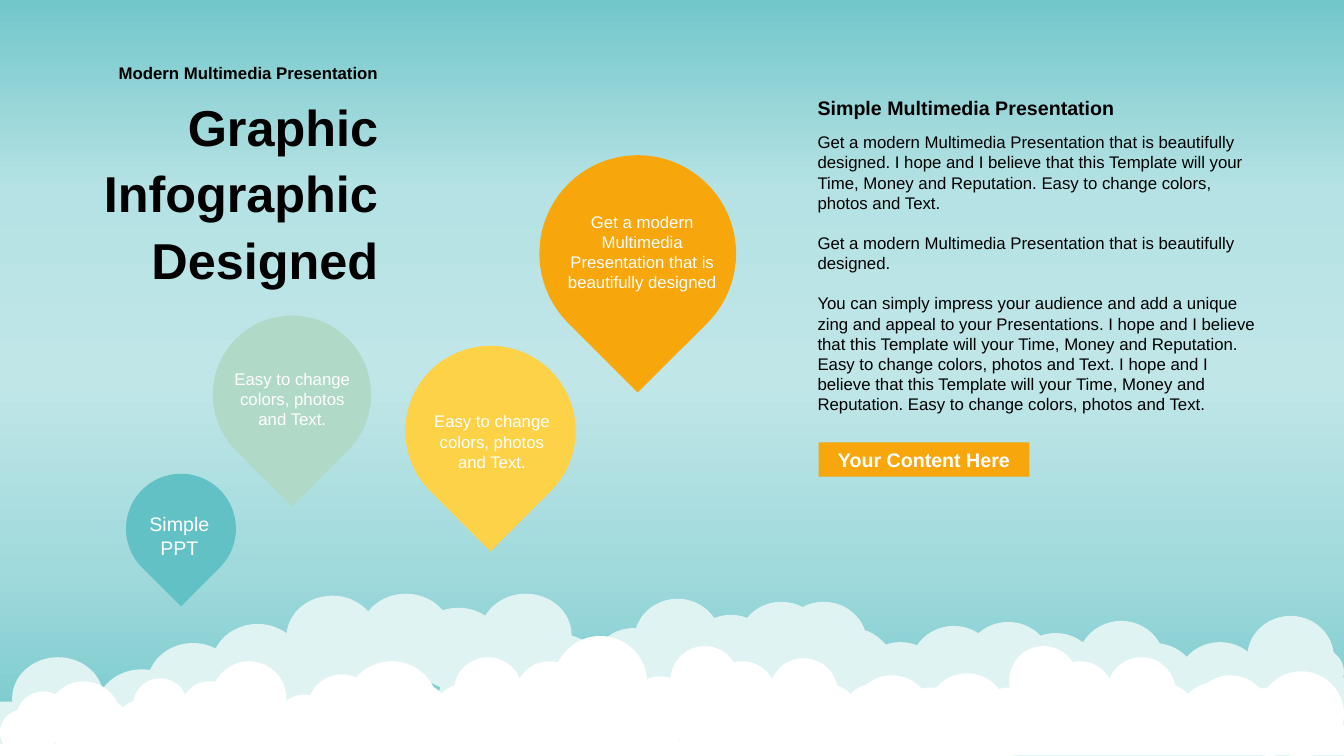
from dataclasses import dataclass

from lxml.etree import SubElement
from pptx import Presentation
from pptx.dml.color import RGBColor
from pptx.enum.shapes import MSO_SHAPE
from pptx.enum.text import MSO_ANCHOR, PP_ALIGN
from pptx.oxml.ns import qn
from pptx.util import Inches, Pt

COLORS = {
    "sky edge": "72C7CB", "sky high": "B5E2E4", "sky middle": "C0E6E8", "sky low": "A1DADC",
    "far cloud": "E0F3F3", "white": "FFFFFF", "black": "000000",
    "teal": "62C1C5", "sage": "B1D9C7", "yellow": "FDD247", "orange": "F7A60B",
}
SKY_STOPS = ("sky edge", "sky high", "sky middle", "sky low", "sky edge")
SLIDE_WIDTH, SLIDE_HEIGHT = Inches(13.33), Inches(7.5)
COLUMN, ROW = SLIDE_WIDTH / 13.33, SLIDE_HEIGHT / 7.5
FONT = "Arial"


@dataclass(frozen=True)
class Frame:
    """A box in grid columns and rows."""
    left: float
    top: float
    width: float
    height: float

    def lengths(self) -> tuple[int, ...]:
        return (round(self.left * COLUMN), round(self.top * ROW),
                round(self.width * COLUMN), round(self.height * ROW))


@dataclass(frozen=True)
class Puffs:
    """Equal cloud shapes at several (left, top) corners."""
    width: float
    height: float
    corners: tuple[tuple[float, float], ...]
    kind: MSO_SHAPE = MSO_SHAPE.OVAL


@dataclass(frozen=True)
class CloudBank:
    color: str
    bases: tuple[Frame, ...]
    puffs: tuple[Puffs, ...]


@dataclass(frozen=True)
class Pin:
    color: str
    left: float
    top: float
    size: float
    label: str
    label_frame: Frame
    label_size: int = 12
    anchor: MSO_ANCHOR = MSO_ANCHOR.TOP


CLOUD_BANKS = (
    CloudBank(
        "far cloud",
        (Frame(0, 6.96, 5.51, 0.54), Frame(5.51, 6.72, 3.36, 0.78), Frame(8.78, 6.72, 4.55, 0.78)),
        (
            Puffs(0.86, 0.82, (
                (5.86, 6.23), (6.21, 6.38), (6.29, 5.94), (6.82, 6.1), (7.32, 5.97), (7.73, 6.24),
                (7.74, 5.97), (8.01, 6.23), (8.5, 6.37), (9.03, 6.21), (9.04, 6.48), (9.57, 6.17),
                (10.04, 6.28), (10.56, 6.62), (10.69, 6.16), (11.02, 6.38), (11.67, 6.37),
                (12.37, 6.11), (12.47, 6.51))),
            Puffs(0.91, 0.82, (
                (0.12, 6.52), (0.95, 6.64), (1.46, 6.38), (2.1, 6.19), (2.53, 6.33), (2.84, 5.91),
                (3.14, 6.17), (3.57, 5.89), (4.09, 6.03), (4.76, 5.89), (5.09, 6.29))),
            Puffs(0.56, 0.57, ((2.95, 6.67),)),
            Puffs(0.43, 0.41, ((12.37, 6.48),)),
            Puffs(0.5, 0.47, ((12.83, 6.43),)),
            Puffs(0.86, 0.86, ((3.64, 6.63), (4.34, 6.54)), MSO_SHAPE.CHORD),
            Puffs(0.54, 0.54, ((4.98, 6.95),), MSO_SHAPE.CHORD),
        ),
    ),
    CloudBank(
        "white",
        (Frame(0, 7.38, 2.9, 0.12), Frame(2.84, 7.34, 3.65, 0.16),
         Frame(6.32, 7.34, 3.65, 0.16), Frame(9.69, 7.19, 3.65, 0.3)),
        (
            Puffs(0.54, 0.54, (
                (0.16, 6.86), (0.75, 6.93), (1.14, 6.94), (1.32, 6.73), (1.55, 6.94),
                (1.8, 6.76), (1.93, 6.94), (2.09, 6.64), (2.36, 6.94))),
            Puffs(0.68, 0.68, (
                (3.05, 6.69), (3.79, 6.77), (4.28, 6.78), (4.5, 6.52), (4.79, 6.78), (5.11, 6.56),
                (5.28, 6.79), (5.48, 6.41), (5.81, 6.82), (6.21, 6.71), (6.65, 6.41), (7.02, 6.56),
                (7.34, 6.78), (7.63, 6.53), (7.85, 6.78), (8.34, 6.78), (8.89, 6.82), (9.67, 6.82),
                (10.01, 6.41), (10.21, 6.79), (10.37, 6.56), (10.69, 6.78), (10.98, 6.52),
                (11.2, 6.78), (11.7, 6.77), (12.25, 6.82))),
            Puffs(0.45, 0.45, ((0, 7.04),)),
            Puffs(0.56, 0.56, ((2.74, 6.89),)),
            Puffs(0.74, 0.74, ((0.46, 6.76), (2.1, 6.56))),
            Puffs(0.79, 0.79, ((8.45, 6.7), (11.81, 6.7))),
            Puffs(0.8, 0.8, ((9.19, 6.68),)),
            Puffs(0.85, 0.85, ((12.48, 6.66),)),
            Puffs(0.93, 0.93, ((3.42, 6.56), (5.49, 6.31))),
            Puffs(1.14, 0.68, ((6.63, 6.79),)),
        ),
    ),
)

CHANGE_LABEL = "Easy to change colors, photos and Text."
PINS = (
    Pin("teal", 1.25, 4.7, 1.09, "Simple PPT", Frame(1.18, 5.03, 1.2, 0.57), 14, MSO_ANCHOR.MIDDLE),
    Pin("sage", 2.11, 3.13, 1.57, CHANGE_LABEL, Frame(2.17, 3.61, 1.46, 0.71)),
    Pin("yellow", 4.02, 3.43, 1.69, CHANGE_LABEL, Frame(4.15, 4.03, 1.46, 0.71)),
    Pin("orange", 5.35, 1.54, 1.95,
        "Get a modern Multimedia Presentation that is beautifully designed",
        Frame(5.41, 2.05, 1.92, 0.91)),
)

BODY_TEXTS = (
    "Get a modern Multimedia Presentation that is beautifully designed. I hope and I believe that "
    "this Template will your Time, Money and Reputation. Easy to change colors, photos and Text.",
    "Get a modern Multimedia Presentation that is beautifully designed.",
    "You can simply impress your audience and add a unique zing and appeal to your Presentations. "
    "I hope and I believe that this Template will your Time, Money and Reputation. Easy to change "
    "colors, photos and Text. I hope and I believe that this Template will your Time, Money and "
    "Reputation. Easy to change colors, photos and Text.",
)


def paint_sky(slide) -> None:
    fill = slide.background.fill
    fill.gradient()
    fill.gradient_angle = 270
    stop_list = next(slide.element.iter(qn("a:gsLst")))
    for stop in list(stop_list):
        stop_list.remove(stop)
    for index, color in enumerate(SKY_STOPS):
        stop = SubElement(stop_list, qn("a:gs"), pos=str(index * 25000))
        SubElement(stop, qn("a:srgbClr"), val=COLORS[color])


def add_plain_shape(shapes, kind: MSO_SHAPE, frame: Frame, color: str):
    shape = shapes.add_shape(kind, *frame.lengths())
    shape.shadow.inherit = False
    shape.fill.solid()
    shape.fill.fore_color.rgb = RGBColor.from_string(COLORS[color])
    shape.line.fill.background()
    return shape


def write_text(shape, *texts: str, size: int = 12, color: str = "black", bold: bool = False,
               align: PP_ALIGN = PP_ALIGN.LEFT, anchor: MSO_ANCHOR = MSO_ANCHOR.TOP,
               line_spacing: float = 1.0, gap: float = 0) -> None:
    """Write one paragraph per text, with gap points between paragraphs."""
    text_frame = shape.text_frame
    text_frame.word_wrap = True
    text_frame.vertical_anchor = anchor
    for index, text in enumerate(texts):
        paragraph = text_frame.add_paragraph() if index else text_frame.paragraphs[0]
        paragraph.alignment = align
        paragraph.line_spacing = line_spacing
        if index:
            paragraph.space_before = Pt(gap)
        run = paragraph.add_run()
        run.text = text
        run.font.name, run.font.size, run.font.bold = FONT, Pt(size), bold
        run.font.color.rgb = RGBColor.from_string(COLORS[color])


def add_text(slide, frame: Frame, *texts: str, **text_format) -> None:
    write_text(slide.shapes.add_textbox(*frame.lengths()), *texts, **text_format)


def add_cloud_bank(slide, bank: CloudBank) -> None:
    shapes = slide.shapes.add_group_shape().shapes
    for base in bank.bases:
        add_plain_shape(shapes, MSO_SHAPE.RECTANGLE, base, bank.color)
    for puffs in bank.puffs:
        for left, top in puffs.corners:
            frame = Frame(left, top, puffs.width, puffs.height)
            puff = add_plain_shape(shapes, puffs.kind, frame, bank.color)
            if puffs.kind == MSO_SHAPE.CHORD:
                puff.adjustments[0], puff.adjustments[1] = 65.43, 129.51


def main() -> None:
    presentation = Presentation()
    presentation.slide_width, presentation.slide_height = SLIDE_WIDTH, SLIDE_HEIGHT
    slide = presentation.slides.add_slide(presentation.slide_layouts[6])
    paint_sky(slide)
    for bank in CLOUD_BANKS:
        add_cloud_bank(slide, bank)
    for pin in PINS:
        frame = Frame(pin.left, pin.top, pin.size, pin.size)
        add_plain_shape(slide.shapes, MSO_SHAPE.TEAR, frame, pin.color).rotation = 135
    for pin in PINS:
        add_text(slide, pin.label_frame, pin.label, size=pin.label_size, color="white",
                 align=PP_ALIGN.CENTER, anchor=pin.anchor)

    add_text(slide, Frame(8.01, 1.26, 4.55, 2.93), *BODY_TEXTS, gap=14.4)
    add_text(slide, Frame(8.01, 0.9, 4.55, 0.34), "Simple Multimedia Presentation", size=14, bold=True)
    add_text(slide, Frame(0.69, 0.92, 3.16, 1.92), "Graphic Infographic Designed", size=36, bold=True,
             align=PP_ALIGN.RIGHT, anchor=MSO_ANCHOR.MIDDLE, line_spacing=1.1)
    add_text(slide, Frame(0.69, 0.57, 3.16, 0.31), "Modern Multimedia Presentation", bold=True,
             align=PP_ALIGN.RIGHT)
    button = add_plain_shape(slide.shapes, MSO_SHAPE.RECTANGLE, Frame(8.12, 4.39, 2.09, 0.34), "orange")
    write_text(button, "Your Content Here", size=14, color="white", bold=True,
               align=PP_ALIGN.CENTER, anchor=MSO_ANCHOR.MIDDLE)
    presentation.save("out.pptx")


if __name__ == "__main__":
    main()
